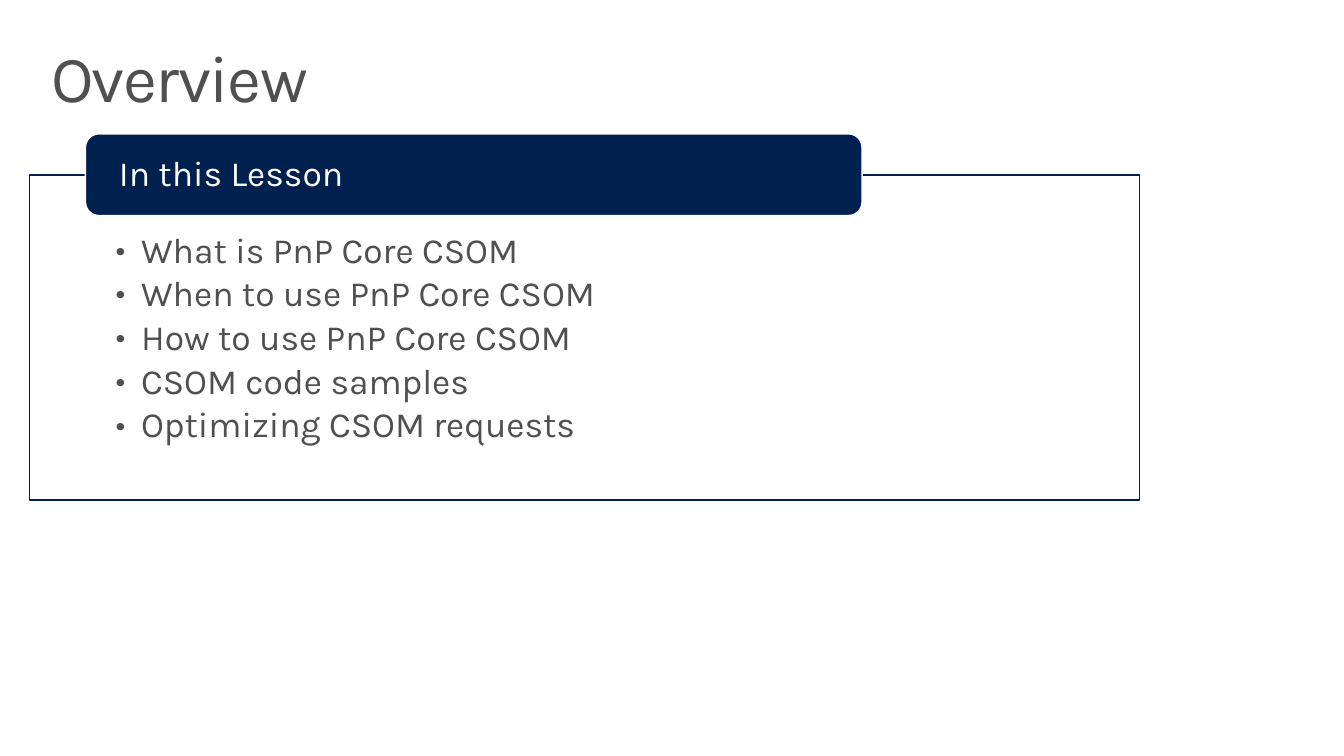
from dataclasses import dataclass, field

from lxml import etree
from pptx import Presentation
from pptx import util as u
from pptx.dml.color import RGBColor
from pptx.enum import shapes, text
from pptx.oxml.ns import qn

COLORS = {"navy": "002050", "white": "FFFFFF", "gray": "505050"}
FONT = "Karla"
COLUMNS, ROWS = 100, 56.25  # square cells on a 16:9 slide
CELL = u.Inches(0.1)


@dataclass
class Area:
    column: float
    row: float
    columns: float
    rows: float

    def lengths(self) -> list[int]:
        return [int(n * CELL) for n in (self.column, self.row, self.columns, self.rows)]


@dataclass
class Copy:
    lines: list[str]
    color: str
    size: float = 19
    insets: tuple = (0, 0, 0, 0)  # left, top, right, bottom in cells
    anchor: text.MSO_ANCHOR = text.MSO_ANCHOR.TOP
    bullet_indent: float = 0  # cells
    tracking: int = 0  # hundredths of a point
    spacing: dict = field(default_factory=lambda: {"line_spacing": 0.9})


@dataclass
class Panel:
    preset: shapes.MSO_SHAPE
    area: Area
    fill: str
    line: str
    copy: Copy
    opacity: int = 100


def write(box, copy: Copy) -> None:
    frame = box.text_frame
    left, top, right, bottom = (int(n * CELL) for n in copy.insets)
    layout = {"word_wrap": True, "vertical_anchor": copy.anchor,
              "margin_left": left, "margin_top": top,
              "margin_right": right, "margin_bottom": bottom}
    for name, value in layout.items():
        setattr(frame, name, value)
    for index, line in enumerate(copy.lines):
        para = frame.paragraphs[0] if index == 0 else frame.add_paragraph()
        for name, value in {"alignment": text.PP_ALIGN.LEFT, **copy.spacing}.items():
            setattr(para, name, value)
        if copy.bullet_indent:
            indent = int(copy.bullet_indent * CELL)
            props = para._p.get_or_add_pPr()
            props.set("marL", str(indent))
            props.set("indent", str(-indent))
            etree.SubElement(props, qn("a:buFont"), typeface=FONT)
            etree.SubElement(props, qn("a:buChar"), char="•")
        span = para.add_run()
        span.text = line
        for name, value in {"name": FONT, "size": u.Pt(copy.size)}.items():
            setattr(span.font, name, value)
        span.font.color.rgb = RGBColor.from_string(COLORS[copy.color])
        if copy.tracking:
            span.font._element.set("spc", str(copy.tracking))


def draw_panel(page, panel: Panel) -> None:
    box = page.shapes.add_shape(panel.preset, *panel.area.lengths())
    box.shadow.inherit = False
    box.fill.solid()
    box.fill.fore_color.rgb = RGBColor.from_string(COLORS[panel.fill])
    if panel.opacity < 100:
        color = box._element.spPr.find(qn("a:solidFill")).find(qn("a:srgbClr"))
        etree.SubElement(color, qn("a:alpha"), val=str(panel.opacity * 1000))
    box.line.color.rgb = RGBColor.from_string(COLORS[panel.line])
    box.line.width = u.Pt(0.85)
    write(box, panel.copy)


def draw_text(page, area: Area, copy: Copy) -> None:
    write(page.shapes.add_textbox(*area.lengths()), copy)


TITLE = Copy(["Overview"], "gray", 35.3, (1.6, 1, 1.6, 1), tracking=-80)
TOPICS = Copy(
    ["What is PnP Core CSOM", "When to use PnP Core CSOM", "How to use PnP Core CSOM",
     "CSOM code samples", "Optimizing CSOM requests"],
    "gray", insets=(6.4, 4.3, 6.4, 1.5), bullet_indent=1.9,
    spacing={"line_spacing": 0.9, "space_after": u.Pt(2.9)})
HEADING = Copy(["In this Lesson"], "white", insets=(2.2, 0, 2.2, 0),
               anchor=text.MSO_ANCHOR.MIDDLE)

PANELS = [
    Panel(shapes.MSO_SHAPE.RECTANGLE, Area(2.2, 13, 82.6, 24.2),
          "white", "navy", TOPICS, opacity=90),
    Panel(shapes.MSO_SHAPE.ROUNDED_RECTANGLE, Area(6.35, 9.95, 57.8, 6.1),
          "navy", "white", HEADING),
]


def main() -> None:
    deck = Presentation()
    deck.slide_width, deck.slide_height = int(COLUMNS * CELL), int(ROWS * CELL)
    page = deck.slides.add_slide(deck.slide_layouts[6])

    # Lesson frame with its heading tab
    for panel in PANELS:
        draw_panel(page, panel)

    # Slide title
    draw_text(page, Area(2.2, 2.4, 95.6, 7.4), TITLE)

    deck.save("out.pptx")


if __name__ == "__main__":
    main()
